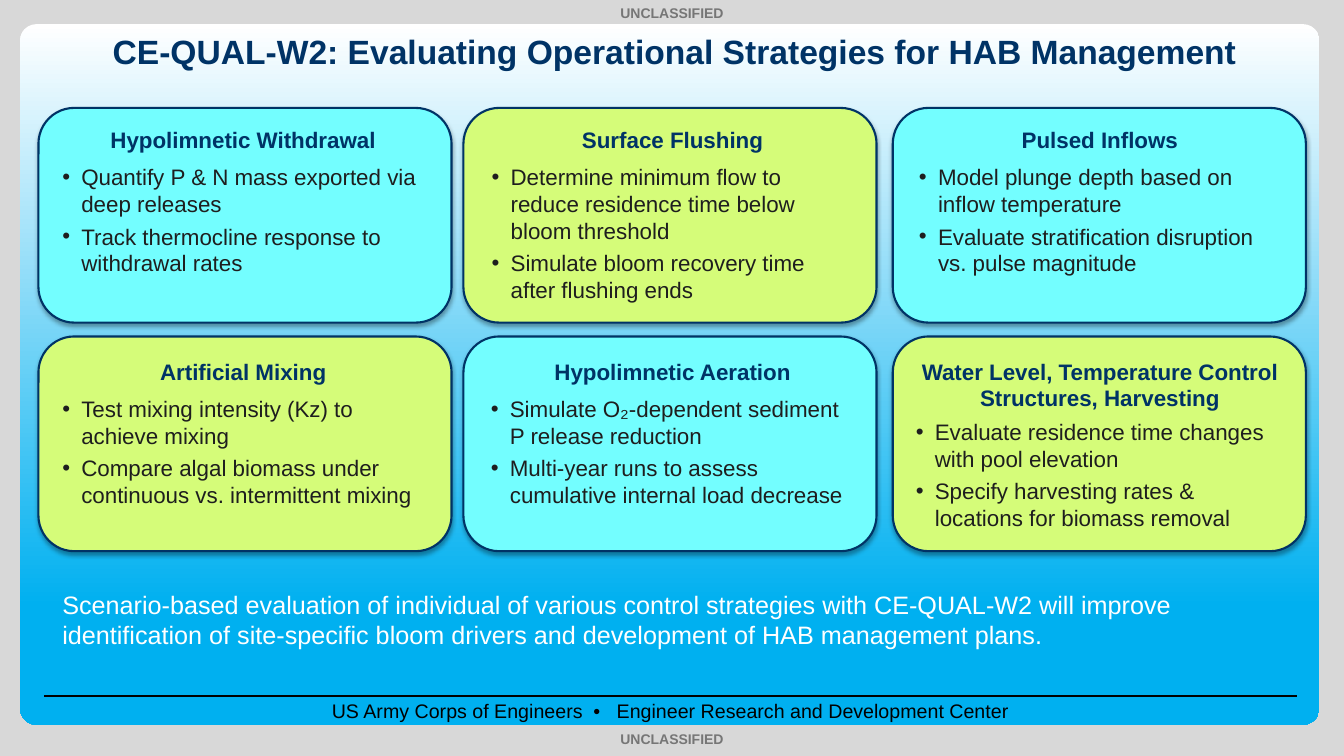
from lxml import etree
from pptx import Presentation
from pptx.dml.color import RGBColor
from pptx.enum import shapes, text
from pptx.oxml.ns import qn
from pptx.util import Cm, Pt

NAVY = RGBColor(0x00, 0x33, 0x66)
CYAN = RGBColor(0x73, 0xFE, 0xFF)
LIME = RGBColor(0xD5, 0xFC, 0x79)
SKY = RGBColor(0x00, 0xB0, 0xF0)
PALE = RGBColor(0xD8, 0xD8, 0xD8)
GRAY = RGBColor(0x76, 0x76, 0x76)
INK = RGBColor(0x1E, 0x1E, 0x1E)
BLACK = RGBColor(0, 0, 0)
WHITE = RGBColor(255, 255, 255)

prs = Presentation()
prs.slide_width, prs.slide_height = Cm(33.87), Cm(19.05)
slide = prs.slides.add_slide(prs.slide_layouts[6])
slide.background.fill.solid()
slide.background.fill.fore_color.rgb = PALE


def write(words, x, y, w, h, size=16, color=INK, bold=False, center=False, bullet=False):
    """Add a text box with one paragraph for each line of words."""
    box = slide.shapes.add_textbox(Cm(x), Cm(y), Cm(w), Cm(h))
    frame = box.text_frame
    frame.word_wrap = True
    frame.text = words
    for i, para in enumerate(frame.paragraphs):
        if bullet:
            props = para._p.get_or_add_pPr()
            props.set("marL", str(Cm(0.48)))
            props.set("indent", str(-Cm(0.48)))
            etree.SubElement(props, qn("a:buFont"), typeface="Arial")
            etree.SubElement(props, qn("a:buChar"), char="•")
            para.space_before = Pt(2 if i else 0)
            para.space_after = Pt(2)
        if center:
            para.alignment = text.PP_ALIGN.CENTER
        para.font.name = "Arial"
        para.font.size = Pt(size)
        para.font.bold = bold
        para.font.color.rgb = color


# Frame, footer and markings
panel = slide.shapes.add_shape(
    shapes.MSO_SHAPE.ROUNDED_RECTANGLE, Cm(0.51), Cm(0.61), Cm(32.74), Cm(17.65))
panel.adjustments[0] = 0.023
panel.shadow.inherit = False
panel.line.fill.background()
panel.fill.gradient()
panel.fill.gradient_angle = 270
for stop, (place, color) in zip(panel.fill.gradient_stops, [(0, WHITE), (0.83, SKY)]):
    stop.position = place
    stop.color.rgb = color

rule = slide.shapes.add_connector(
    shapes.MSO_CONNECTOR.STRAIGHT, Cm(1.12), Cm(17.53), Cm(32.69), Cm(17.53))
rule.line.color.rgb = BLACK
rule.line.width = Pt(1.5)
etree.SubElement(rule._element.spPr, qn("a:effectLst"))

write("US Army Corps of Engineers  •   Engineer Research and Development Center",
      1.14, 17.48, 31.52, 0.86, size=14, color=BLACK, center=True)
for y in (0, 18.29):
    write("UNCLASSIFIED", 0, y, 33.87, 0.69, size=10, color=GRAY, bold=True, center=True)
write("CE-QUAL-W2: Evaluating Operational Strategies for HAB Management",
      1.5, 0.66, 31, 1.27, size=24, color=NAVY, bold=True, center=True)

# Strategy cards: heading, bullets, left and top of the bullets
cards = [
    ("Hypolimnetic Withdrawal",
     "Quantify P & N mass exported via deep releases\n"
     "Track thermocline response to withdrawal rates", 1.32, 3.99),
    ("Surface Flushing",
     "Determine minimum flow to reduce residence time below bloom threshold\n"
     "Simulate bloom recovery time after flushing ends", 12.14, 3.99),
    ("Pulsed Inflows",
     "Model plunge depth based on inflow temperature\n"
     "Evaluate stratification disruption vs. pulse magnitude", 22.91, 3.99),
    ("Artificial Mixing",
     "Test mixing intensity (Kz) to achieve mixing\n"
     "Compare algal biomass under continuous vs. intermittent mixing", 1.32, 9.83),
    ("Hypolimnetic Aeration",
     "Simulate O₂-dependent sediment P release reduction\n"
     "Multi-year runs to assess cumulative internal load decrease", 12.12, 9.83),
    ("Water Level, Temperature Control\nStructures, Harvesting",
     "Evaluate residence time changes with pool elevation\n"
     "Specify harvesting rates & locations for biomass removal", 22.83, 10.41),
]
lefts = (0.97, 11.68, 22.5)
heads = (1.24, 12.06, 22.83)
for i, (head, body, x, y) in enumerate(cards):
    row, col = divmod(i, 3)
    card = slide.shapes.add_shape(
        shapes.MSO_SHAPE.ROUNDED_RECTANGLE,
        Cm(lefts[col]), Cm(2.72 + 5.76 * row), Cm(10.41), Cm(5.41))
    card.fill.solid()
    card.fill.fore_color.rgb = LIME if i % 2 else CYAN
    card.line.color.rgb = NAVY
    card.line.width = Pt(1.5)
    card.shadow.inherit = False
    glow = etree.SubElement(
        card._element.spPr.find(qn("a:effectLst")), qn("a:outerShdw"),
        blurRad=str(Pt(3.1)), dist=str(Pt(1.8)), dir="5400000", rotWithShape="0")
    tint = etree.SubElement(glow, qn("a:srgbClr"), val=str(BLACK))
    etree.SubElement(tint, qn("a:alpha"), val="35000")
    write(head, heads[col], 3.05 + 5.84 * row, 9.78, 0.94, color=NAVY, bold=True, center=True)
    write(body, x, y, 9.65, 3.12, bullet=True)

write("Scenario-based evaluation of individual of various control strategies with "
      "CE-QUAL-W2 will improve identification of site-specific bloom drivers and "
      "development of HAB management plans.", 1.32, 14.73, 31.17, 1.8, size=18, color=WHITE)

prs.save("out.pptx")
